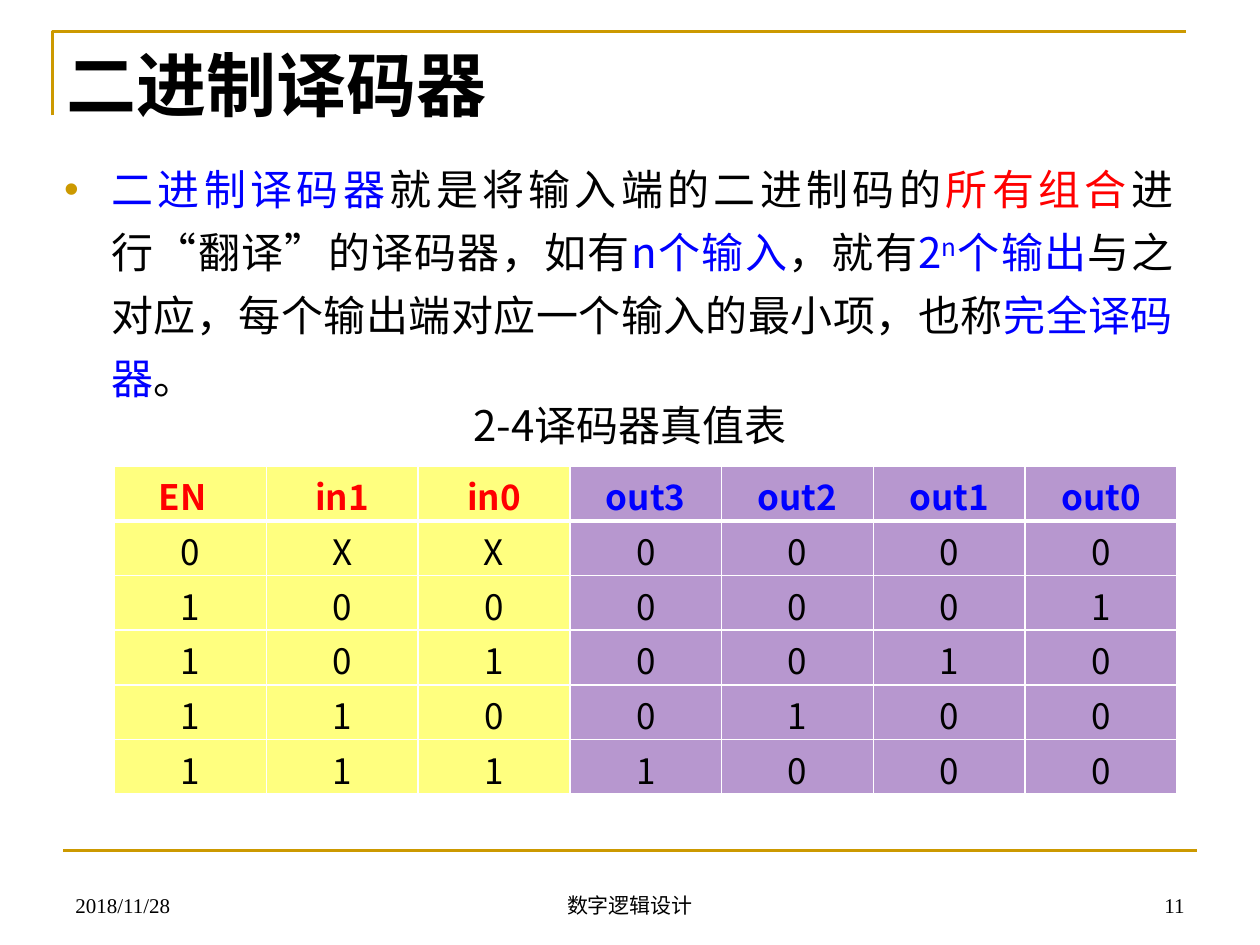
"""Build the binary decoder slide with its 2-4 truth table."""
from dataclasses import dataclass
from typing import NamedTuple

from lxml import etree
from pptx import Presentation
from pptx.dml.color import RGBColor
from pptx.enum.shapes import MSO_CONNECTOR
from pptx.enum.text import MSO_ANCHOR, MSO_AUTO_SIZE, PP_ALIGN
from pptx.oxml.ns import qn
from pptx.util import Pt

STRAIGHT = MSO_CONNECTOR.STRAIGHT
TOP, MIDDLE, BOTTOM = MSO_ANCHOR.TOP, MSO_ANCHOR.MIDDLE, MSO_ANCHOR.BOTTOM
LEFT, CENTER, RIGHT = PP_ALIGN.LEFT, PP_ALIGN.CENTER, PP_ALIGN.RIGHT
JUSTIFY = PP_ALIGN.JUSTIFY
NO_AUTOSIZE = MSO_AUTO_SIZE.NONE


@dataclass(frozen=True)
class Theme:
    sans: str = "Noto Sans CJK SC"
    serif: str = "Times New Roman"
    black: str = "000000"
    white: str = "FFFFFF"
    gold: str = "CC9900"
    blue: str = "0000FF"
    red: str = "FF0000"
    input_fill: str = "FFFF00"
    output_fill: str = "7030A0"
    title: int = 40
    body: int = 24
    cell: int = 20
    footer: int = 12


THEME = Theme()


class Box(NamedTuple):
    left: float
    top: float
    width: float
    height: float


class Span(NamedTuple):
    text: str
    color: str = THEME.black
    superscript: bool = False


class Footer(NamedTuple):
    text: str
    box: Box
    align: PP_ALIGN


FOOTERS = [
    Footer("2018/11/28", Box(36, 492, 168, 36), LEFT),
    Footer("数字逻辑设计", Box(246, 492, 228, 36), CENTER),
    Footer("11", Box(516, 492, 168, 36), RIGHT),
]
DEFINITION = [
    Span("二进制译码器", THEME.blue),
    Span("就是将输入端的二进制码的"),
    Span("所有组合", THEME.red),
    Span("进行“翻译”的译码器，如有"),
    Span("n个输入", THEME.blue),
    Span("，就有"),
    Span("2", THEME.blue),
    Span("n", THEME.blue, True),
    Span("个输出", THEME.blue),
    Span("与之对应，每个输出端对应一个输入的最小项，也称"),
    Span("完全译码器", THEME.blue),
    Span("。"),
]
TRUTH_TABLE = [
    ["EN", "in1", "in0", "out3", "out2", "out1", "out0"],
    *map(list, ["0XX0000", "1000001", "1010010", "1100100", "1111000"]),
]
INPUTS = 3
TABLE_BOX = Box(65.5, 266.4, 607, 187.2)


def points(box: Box) -> list:
    return [Pt(v) for v in box]


def add_run(p, span: Span, size: int, bold: bool = False, font: str = THEME.sans) -> None:
    r = p.add_run()
    r.text = span.text
    for name, value in {"name": font, "size": Pt(size), "bold": bold}.items():
        setattr(r.font, name, value)
    r.font.color.rgb = RGBColor.from_string(span.color)
    rPr = r.font._element
    etree.SubElement(rPr, qn("a:ea"), typeface=THEME.sans)
    if span.superscript:
        rPr.set("baseline", "30000")


def set_frame(sp, box: Box, anchor: MSO_ANCHOR, align: PP_ALIGN):
    sp.left, sp.top, sp.width, sp.height = points(box)
    tf = sp.text_frame
    frame = {"word_wrap": True, "auto_size": NO_AUTOSIZE, "vertical_anchor": anchor}
    for name, value in frame.items():
        setattr(tf, name, value)
    p = tf.paragraphs[0]
    p.alignment = align
    return p


def add_text(s, text: str, box: Box, anchor: MSO_ANCHOR, align: PP_ALIGN,
             size: int, font: str) -> None:
    p = set_frame(s.shapes.add_textbox(*points(box)), box, anchor, align)
    add_run(p, Span(text), size, font=font)


def set_line(sp) -> None:
    sp.line.color.rgb = RGBColor.from_string(THEME.gold)
    sp.line.width = Pt(1.5)


def add_rules(s) -> None:
    builder = s.shapes.build_freeform(Pt(30), Pt(66), scale=1.0)
    builder.add_line_segments([(Pt(30), Pt(18)), (Pt(678), Pt(18))], close=False)
    corner = builder.convert_to_shape()
    corner.fill.background()
    corner.shadow.inherit = False
    set_line(corner)
    rule = s.shapes.add_connector(STRAIGHT, Pt(36), Pt(486), Pt(684), Pt(486))
    set_line(rule)
    etree.SubElement(rule._element.spPr, qn("a:effectLst"))


def add_definition(sp) -> None:
    p = set_frame(sp, Box(29.5, 82.8, 648, 130.3), TOP, JUSTIFY)
    p.line_spacing, p.space_before = Pt(36), Pt(0)
    pPr = p._p.get_or_add_pPr()
    pPr.set("marL", str(Pt(27)))
    pPr.set("indent", str(Pt(-27)))
    color = etree.SubElement(pPr, qn("a:buClr"))
    etree.SubElement(color, qn("a:srgbClr"), val=THEME.gold)
    etree.SubElement(pPr, qn("a:buFont"), typeface="Arial")
    etree.SubElement(pPr, qn("a:buChar"), char="•")
    for span in DEFINITION:
        add_run(p, span, THEME.body)


def set_borders(cell, row: int) -> None:
    tcPr = cell._tc.get_or_add_tcPr()
    widths = {"L": 1, "R": 1, "T": 3 if row == 1 else 1, "B": 3 if row == 0 else 1}
    for side, width in widths.items():
        ln = etree.SubElement(tcPr, qn(f"a:ln{side}"), w=str(Pt(width)))
        fill = etree.SubElement(ln, qn("a:solidFill"))
        etree.SubElement(fill, qn("a:srgbClr"), val=THEME.white)


def fill_cell(cell, text: str, row: int, col: int) -> None:
    is_input, is_header = col < INPUTS, row == 0
    is_enable = is_header and col == 0
    set_borders(cell, row)
    cell.fill.solid()
    color = THEME.input_fill if is_input else THEME.output_fill
    cell.fill.fore_color.rgb = RGBColor.from_string(color)
    srgb = cell._tc.tcPr.find(f"{qn('a:solidFill')}/{qn('a:srgbClr')}")
    etree.SubElement(srgb, qn("a:alpha"), val="50000")
    layout = {"vertical_anchor": MIDDLE, "margin_top": Pt(2.2), "margin_bottom": Pt(0),
              "margin_left": Pt(25.2 if is_enable else 7.2)}
    for name, value in layout.items():
        setattr(cell, name, value)
    p = cell.text_frame.paragraphs[0]
    p.alignment = LEFT if is_enable else CENTER
    header_color = THEME.red if is_input else THEME.blue
    span = Span(text, header_color if is_header else THEME.black)
    add_run(p, span, THEME.cell, is_header)


def add_truth_table(s) -> None:
    rows, cols = len(TRUTH_TABLE), len(TRUTH_TABLE[0])
    table = s.shapes.add_table(rows, cols, *points(TABLE_BOX)).table
    table.horz_banding = False
    for column in table.columns:
        column.width = Pt(TABLE_BOX.width / cols)
    for i, values in enumerate(TRUTH_TABLE):
        table.rows[i].height = Pt(TABLE_BOX.height / rows)
        for j, text in enumerate(values):
            fill_cell(table.cell(i, j), text, i, j)


def main() -> None:
    prs = Presentation()
    prs.slide_width, prs.slide_height = Pt(720), Pt(540)
    s = prs.slides.add_slide(prs.slide_layouts[1])
    add_rules(s)
    for footer in FOOTERS:
        add_text(s, footer.text, footer.box, BOTTOM, footer.align, THEME.footer, THEME.serif)
    add_definition(s.placeholders[1])
    title = set_frame(s.shapes.title, Box(31, 20.2, 555.8, 55.4), MIDDLE, LEFT)
    add_run(title, Span("二进制译码器"), THEME.title, True)
    add_truth_table(s)
    add_text(s, "2-4译码器真值表", Box(263.5, 224.6, 209.5, 36), MIDDLE, LEFT,
             THEME.body, THEME.sans)
    prs.save("out.pptx")


if __name__ == "__main__":
    main()
